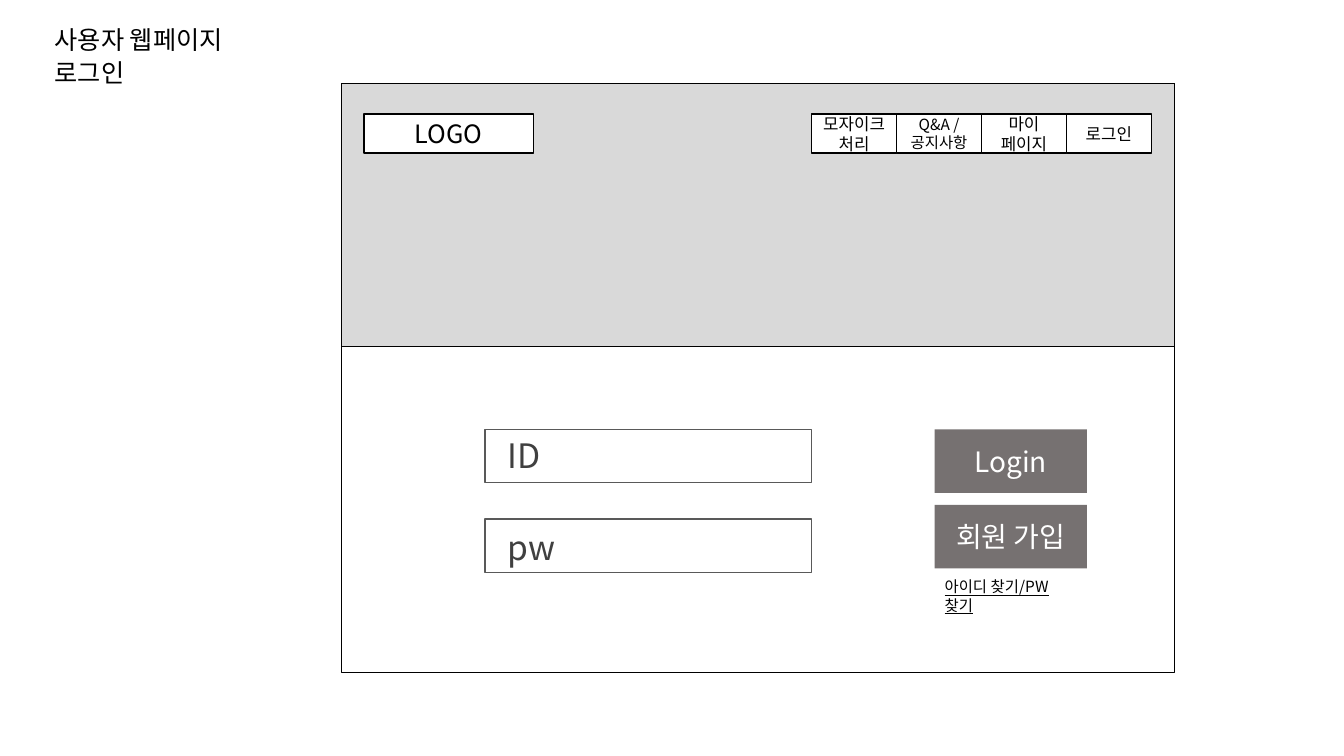
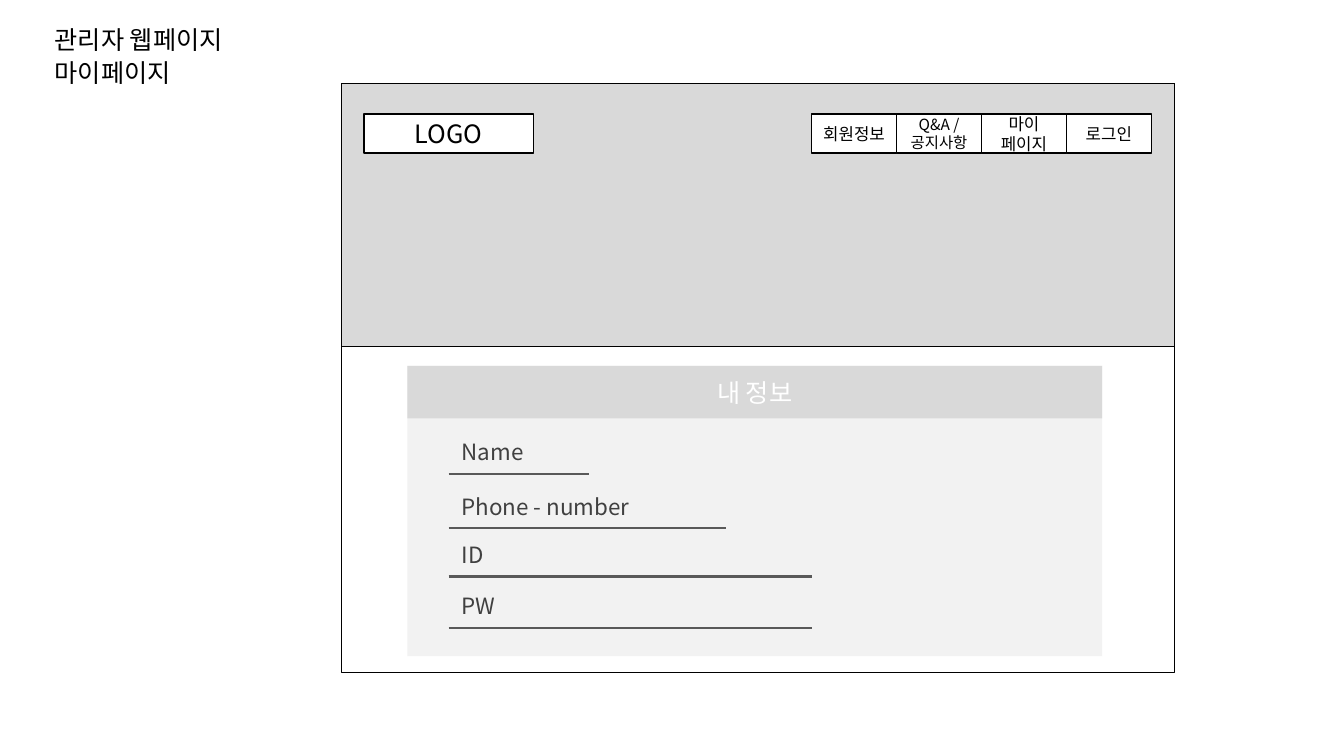
from typing import NamedTuple

from lxml.etree import SubElement
from pptx import Presentation
from pptx.dml.color import RGBColor
from pptx.enum.shapes import MSO_CONNECTOR, MSO_SHAPE
from pptx.enum.text import MSO_ANCHOR, MSO_AUTO_SIZE, PP_ALIGN
from pptx.oxml.ns import qn
from pptx.util import Inches, Pt

FONT = "Noto Sans CJK KR"
CELL = Inches(0.1)
BLACK, WHITE = "000000", "FFFFFF"
BANNER, PANEL, BUTTON = "D9D9D9", "F2F2F2", "767171"
RULE, LABEL = "595959", "404040"


class Box(NamedTuple):
    """A rectangle measured in grid cells."""

    left: float
    top: float
    width: float
    height: float

    def inner(self, column, row, columns, rows):
        """Return a box placed relative to this one."""
        return Box(self.left + column, self.top + row, columns, rows)

    def lengths(self):
        """Return left, top, width and height as slide lengths."""
        return [round(cells * CELL) for cells in self]


PAGE = Box(33.9, 8.3, 82.6, 58.4)
TITLE = Box(4.45, 1.9, 20.1, 4)


def color(value):
    """Turn a hex string into a colour."""
    return RGBColor.from_string(value)


def write(shape, text, size, ink, align, underline=None):
    """Fill a shape with evenly styled paragraphs."""
    frame = shape.text_frame
    frame.word_wrap = True
    frame.text = text
    for paragraph in frame.paragraphs:
        paragraph.alignment = align
        font = paragraph.font
        font.name, font.size, font.underline = FONT, Pt(size), underline
        font.color.rgb = color(ink)
        defaults = paragraph._p.pPr.find(qn("a:defRPr"))
        SubElement(defaults, qn("a:ea"), typeface=FONT)


def add_rectangle(slide, box, fill=None, line=None, text="", size=12, ink=BLACK):
    """Draw a rectangle with optional fill, outline and centred text."""
    shape = slide.shapes.add_shape(MSO_SHAPE.RECTANGLE, *box.lengths())
    shape.shadow.inherit = False
    if fill:
        shape.fill.solid()
        shape.fill.fore_color.rgb = color(fill)
    else:
        shape.fill.background()
    if line:
        shape.line.color.rgb = color(line)
        shape.line.width = Pt(1)
    else:
        shape.line.fill.background()
    if text:
        shape.text_frame.vertical_anchor = MSO_ANCHOR.MIDDLE
        write(shape, text, size, ink, PP_ALIGN.CENTER)


def add_label(slide, box, text, size, ink=BLACK, underline=None):
    """Place left-aligned text that grows with its content."""
    label = slide.shapes.add_textbox(*box.lengths())
    write(label, text, size, ink, PP_ALIGN.LEFT, underline)
    label.text_frame.auto_size = MSO_AUTO_SIZE.SHAPE_TO_FIT_TEXT


def add_rule(slide, box):
    """Draw a horizontal rule along the top of a box."""
    left, top, width, _ = box.lengths()
    rule = slide.shapes.add_connector(
        MSO_CONNECTOR.STRAIGHT, left, top, left + width, top)
    rule.line.color.rgb = color(RULE)
    rule.line.width = Pt(1.5)
    SubElement(rule._element.spPr, qn("a:effectLst"))


def add_title(slide, box, lines):
    """Stack the title lines."""
    for index, line in enumerate(lines):
        add_label(slide, box.inner(0, 3.3 * index, box.width, box.height), line, 18)


def add_menu(slide, box, first_item):
    """Divide a box equally into menu items."""
    items = [(first_item, 12), ("Q&A /\n공지사항", 11),
             ("마이\n페이지", 12), ("로그인", 12)]
    width = box.width / len(items)
    for index, (text, size) in enumerate(items):
        item = box.inner(index * width, 0, width, box.height)
        add_rectangle(slide, item, WHITE, BLACK, text, size)


def add_page(presentation, title_lines, first_item):
    """Add a slide with the shared page frame and return it with its body box."""
    slide = presentation.slides.add_slide(presentation.slide_layouts[6])
    add_title(slide, TITLE, title_lines)
    add_rectangle(slide, PAGE.inner(0, 0, PAGE.width, 26.1), BANNER, BLACK)
    add_rectangle(slide, PAGE, line=BLACK)
    add_rectangle(slide, PAGE.inner(2.2, 3, 16.8, 3.9), WHITE, BLACK, "LOGO", 18)
    add_menu(slide, PAGE.inner(46.6, 3, 33.7, 3.9), first_item)
    return slide, PAGE.inner(0, 26.1, PAGE.width, PAGE.height - 26.1)


def add_login(slide, body):
    """Place the login fields, buttons and recovery text."""
    for index, text in enumerate(["ID", "pw"]):
        field = body.inner(14.2, 8.2 + 8.9 * index, 32.4, 5.3)
        add_rectangle(slide, field, WHITE, RULE)
        add_label(slide, field.inner(1.3, 0.1 + 0.2 * index, 9.3, 5), text, 24, LABEL)
    for index, text in enumerate(["Login", "회원 가입"]):
        button = body.inner(58.8, 8.2 + 7.5 * index, 15.1, 6.3)
        add_rectangle(slide, button, BUTTON, None, text, 20, WHITE)
    add_label(slide, body.inner(58.8, 22.4, 15.1, 2.9), "아이디 찾기/PW찾기", 11,
              underline=True)


def add_profile(slide, body):
    """Place the personal information panel and its entries."""
    panel = body.inner(6.5, 1.9, 68.9, 28.8)
    add_rectangle(slide, panel, PANEL)
    add_rectangle(slide, panel.inner(0, 0, panel.width, 5.2), BANNER, None,
                  "내 정보", 18, WHITE)
    entries = [("Name", 10.7, 13.9), ("Phone - number", 16.1, 27.5),
               ("ID", 20.9, 36), ("PW", 26, 36)]
    for text, row, width in entries:
        entry = panel.inner(4.1, row, width, 0)
        add_rule(slide, entry)
        add_label(slide, entry.inner(0.3, -4, 21.9, 3.7), text, 16, LABEL)


def main():
    """Build both slides and save them."""
    presentation = Presentation()
    presentation.slide_width = Inches(13.33)
    presentation.slide_height = Inches(7.5)
    add_login(*add_page(presentation, ["사용자 웹페이지", "로그인"], "모자이크 처리"))
    add_profile(*add_page(presentation, ["관리자 웹페이지", "마이페이지"], "회원정보"))
    presentation.save("out.pptx")


if __name__ == "__main__":
    main()
